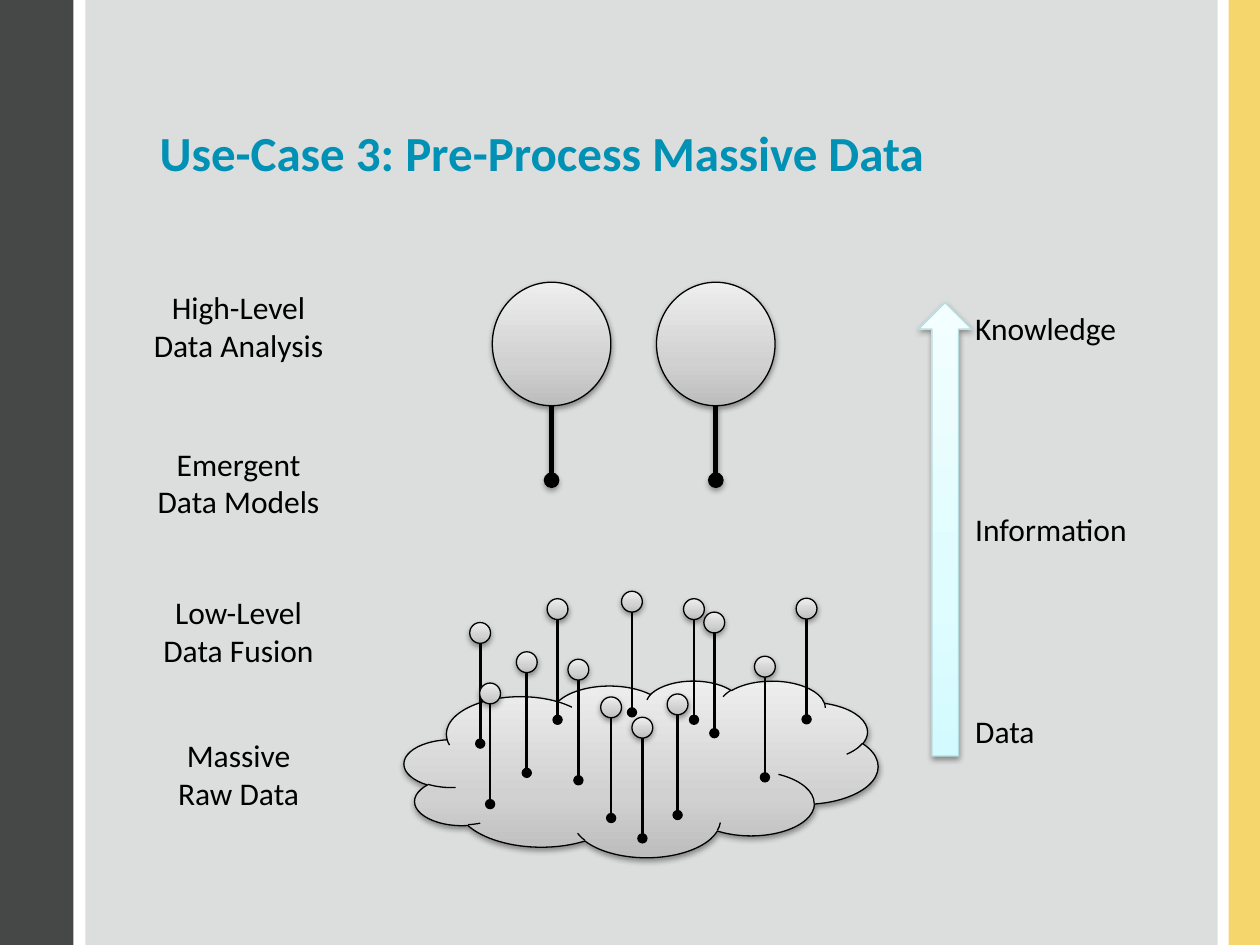
from dataclasses import dataclass

from lxml import etree
from pptx import Presentation
from pptx.dml.color import RGBColor
from pptx.enum.shapes import MSO_CONNECTOR, MSO_SHAPE
from pptx.enum.text import MSO_ANCHOR, MSO_AUTO_SIZE, PP_ALIGN
from pptx.oxml.ns import qn
from pptx.util import Cm, Pt

RECTANGLE = MSO_SHAPE.RECTANGLE
OVAL = MSO_SHAPE.OVAL
CLOUD = MSO_SHAPE.CLOUD
UP_ARROW = MSO_SHAPE.UP_ARROW
STRAIGHT = MSO_CONNECTOR.STRAIGHT
TOP = MSO_ANCHOR.TOP
FIT_SHAPE = MSO_AUTO_SIZE.SHAPE_TO_FIT_TEXT
NO_FIT = MSO_AUTO_SIZE.NONE
LEFT = PP_ALIGN.LEFT
CENTER = PP_ALIGN.CENTER


@dataclass(frozen=True)
class Theme:
    font: str = "Calibri"
    title_size: int = 28
    label_size: int = 18
    outline_width: float = 0.75
    title: str = "0091B5"
    ink: str = "000000"
    dark_band: str = "464847"
    yellow_band: str = "F4D66C"
    panel: str = "DCDEDE"
    arrow_line: str = "B6DCDF"
    # Gradient stops run from bottom to top: percent, colour
    grey_gradient: tuple = ((0, "BDBDBD"), (35, "D1D1D1"), (100, "EEEEEE"))
    cyan_gradient: tuple = ((0, "D3FBFF"), (35, "DFFCFF"), (100, "F2FEFF"))


class SlideBuilder:
    def __init__(self, slide, theme):
        self.slide = slide
        self.theme = theme

    def band(self, left, width, color):
        """Full-height strip of the background."""
        shape = self.slide.shapes.add_shape(RECTANGLE, Cm(left), 0, Cm(width), Cm(19.05))
        shape.shadow.inherit = False
        shape.fill.solid()
        shape.fill.fore_color.rgb = RGBColor.from_string(color)
        shape.line.fill.background()

    def text(self, text, left, top, width, height, align=LEFT):
        """Label that keeps its own line breaks."""
        box = self.slide.shapes.add_textbox(Cm(left), Cm(top), Cm(width), Cm(height))
        frame = box.text_frame
        frame.word_wrap = False
        frame.auto_size = FIT_SHAPE
        frame.text = text
        paragraph = frame.paragraphs[0]
        paragraph.alignment = align
        self.style(paragraph, self.theme.label_size, self.theme.ink)

    def title(self, text, left, top, width, height):
        box = self.slide.shapes.add_textbox(Cm(left), Cm(top), Cm(width), Cm(height))
        frame = box.text_frame
        frame.word_wrap = True
        frame.auto_size = NO_FIT
        frame.vertical_anchor = TOP
        frame.text = text
        paragraph = frame.paragraphs[0]
        self.style(paragraph, self.theme.title_size, self.theme.title)
        paragraph.font.bold = True

    def style(self, paragraph, size, color):
        paragraph.font.name = self.theme.font
        paragraph.font.size = Pt(size)
        paragraph.font.color.rgb = RGBColor.from_string(color)

    def gradient_shape(self, shapes, kind, left, top, width, height, stops, line_color):
        """Outlined shape with a vertical gradient and a soft shadow."""
        shape = shapes.add_shape(kind, Cm(left), Cm(top), Cm(width), Cm(height))
        shape.fill.gradient()
        shape.fill.gradient_angle = 90
        stop_list = shape.element.spPr.find(".//" + qn("a:gsLst"))
        for stop in list(stop_list):
            stop_list.remove(stop)
        for percent, color in stops:
            stop = etree.SubElement(stop_list, qn("a:gs"), pos=str(percent * 1000))
            etree.SubElement(stop, qn("a:srgbClr"), val=color)
        shape.line.color.rgb = RGBColor.from_string(line_color)
        shape.line.width = Pt(self.theme.outline_width)
        shape.shadow.inherit = False
        self.shadow(shape.element.spPr.find(qn("a:effectLst")), 20000, 38)

    def shadow(self, effects, distance, opacity):
        shadow = etree.SubElement(effects, qn("a:outerShdw"), blurRad="40000",
                                  dist=str(distance), dir="5400000", rotWithShape="0")
        color = etree.SubElement(shadow, qn("a:srgbClr"), val=self.theme.ink)
        etree.SubElement(color, qn("a:alpha"), val=str(opacity * 1000))

    def stem(self, shapes, x, top, length, width, shadowed):
        """Vertical line that ends in a dot."""
        line = shapes.add_connector(STRAIGHT, Cm(x), Cm(top), Cm(x), Cm(top + length))
        line.line.color.rgb = RGBColor.from_string(self.theme.ink)
        line.line.width = Pt(width)
        properties = line.element.spPr
        etree.SubElement(properties.find(qn("a:ln")), qn("a:tailEnd"), type="oval")
        effects = etree.SubElement(properties, qn("a:effectLst"))
        if shadowed:
            self.shadow(effects, 23000, 35)

    def pin(self, center, top, head_width, head_height, length, width, shadowed=False):
        """Round head on a stem, grouped."""
        shapes = self.slide.shapes.add_group_shape().shapes
        self.gradient_shape(shapes, OVAL, center - head_width / 2, top, head_width,
                            head_height, self.theme.grey_gradient, self.theme.ink)
        self.stem(shapes, center, top + head_height, length, width, shadowed)


def main():
    presentation = Presentation()
    presentation.slide_width = Cm(25.4)
    presentation.slide_height = Cm(19.05)
    slide = presentation.slides.add_slide(presentation.slide_layouts[6])
    theme = Theme()
    builder = SlideBuilder(slide, theme)

    # Background bands and title
    builder.band(0, 1.48, theme.dark_band)
    builder.band(24.77, 0.63, theme.yellow_band)
    builder.band(1.72, 22.83, theme.panel)
    builder.title("Use-Case 3: Pre-Process Massive Data", 2.97, 2.34, 20.52, 1.7)

    # Raw data cloud with its small pins
    builder.gradient_shape(slide.shapes, CLOUD, 8.15, 13.72, 9.55, 3.56,
                           theme.grey_gradient, theme.ink)
    small_pins = (
        (9.68, 12.55), (11.24, 12.07), (12.32, 14.05), (12.74, 11.92), (13.66, 13.99),
        (14.4, 12.34), (15.42, 13.23), (16.26, 12.06), (9.88, 13.77), (12.95, 14.46),
        (10.62, 13.14), (11.66, 13.29), (13.99, 12.07),
    )
    for center, top in small_pins:
        builder.pin(center, top, 0.42, 0.42, 2.02, 1.5)

    # Large pins for the emergent models
    for center in (11.12, 14.43):
        builder.pin(center, 5.69, 2.39, 2.49, 1.5, 3, shadowed=True)

    # Processing levels on a common centre line
    level_center = 4.81
    levels = (
        ("High-Level\vData Analysis", 5.69, 3.99),
        ("Emergent\vData Models", 8.84, 3.84),
        ("Low-Level\vData Fusion", 11.84, 3.58),
        ("Massive\vRaw Data", 14.71, 3.0),
    )
    for text, top, width in levels:
        builder.text(text, level_center - width / 2, top, width, 1.8, CENTER)

    # Arrow from data to knowledge
    builder.gradient_shape(slide.shapes, UP_ARROW, 18.52, 6.1, 1.07, 9.14,
                           theme.cyan_gradient, theme.arrow_line)
    stages = (("Knowledge", 3.4), ("Information", 3.63), ("Data", 1.73))
    for index, (text, width) in enumerate(stages):
        builder.text(text, 19.41, 6.1 + index * 4.06, width, 1.02)

    presentation.save("out.pptx")


if __name__ == "__main__":
    main()
